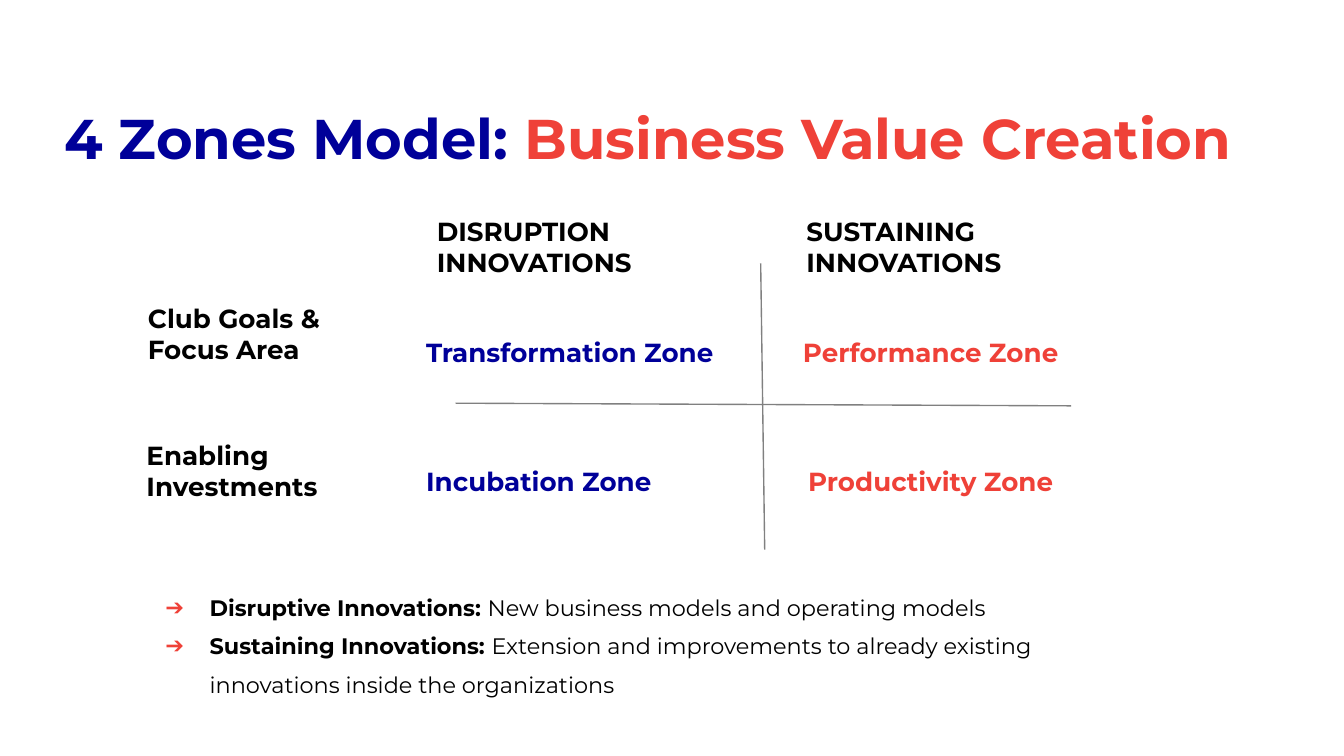
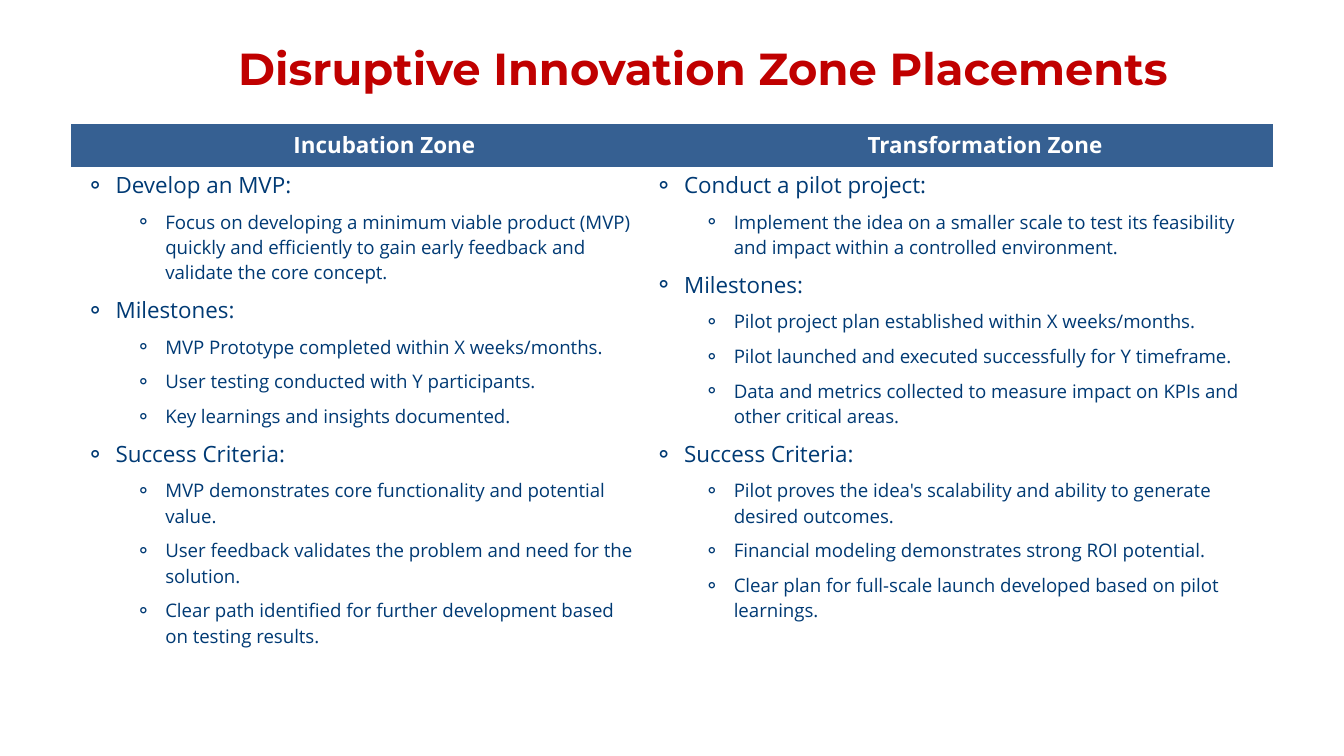
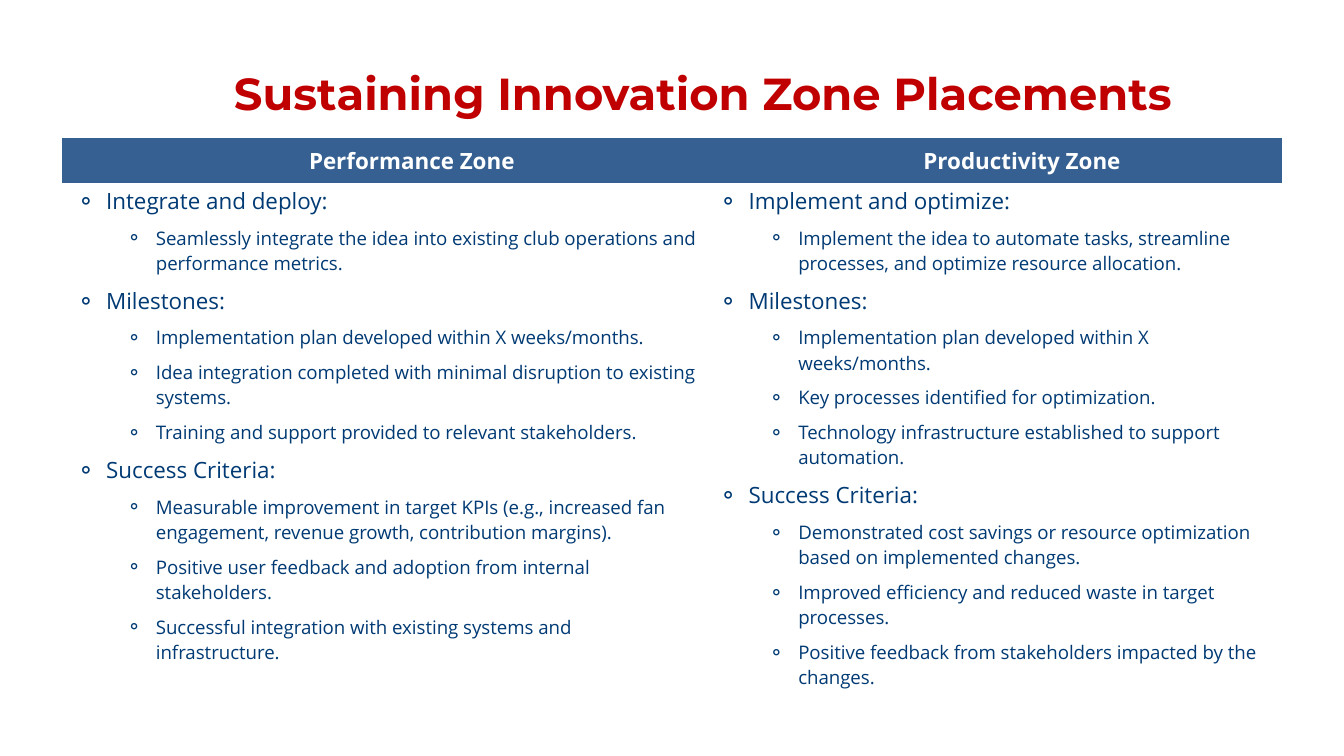
from lxml import etree
from pptx import Presentation
from pptx.dml.color import RGBColor
from pptx.enum.shapes import MSO_CONNECTOR, MSO_SHAPE
from pptx.enum.text import MSO_ANCHOR, MSO_AUTO_SIZE, PP_ALIGN
from pptx.oxml.ns import qn
from pptx.util import Inches, Pt

LEFT, CENTER = PP_ALIGN.LEFT, PP_ALIGN.CENTER
TOP, MIDDLE = MSO_ANCHOR.TOP, MSO_ANCHOR.MIDDLE

NAVY = RGBColor(0x00, 0x00, 0x99)
CORAL = RGBColor(0xEF, 0x41, 0x38)
RED = RGBColor(0xC0, 0x00, 0x00)
HEADER_BLUE = RGBColor(0x36, 0x60, 0x92)
TEXT_BLUE = RGBColor(0x00, 0x3A, 0x74)
GRAY = RGBColor(0x80, 0x80, 0x80)
BLACK = RGBColor(0, 0, 0)
WHITE = RGBColor(0xFF, 0xFF, 0xFF)

HEADING_FONT, BODY_FONT = "Montserrat", "Open Sans"
NO_GRID_STYLE = "{2D5ABB26-0587-4C30-8999-92F81FD0307C}"


def add_run(p, text, size, color, bold=True, name=HEADING_FONT):
    r = p.add_run()
    r.text = text
    for key, value in dict(size=Pt(size), bold=bold, name=name).items():
        setattr(r.font, key, value)
    r.font.color.rgb = color


def indent(p, left, hanging=0, bullet=None, color=None, font=BODY_FONT):
    """Set the indents in inches and, if given, a coloured bullet."""
    pPr = p._p.get_or_add_pPr()
    pPr.set("marL", str(Inches(left)))
    pPr.set("indent", str(-Inches(hanging)))
    if bullet:
        clr = etree.SubElement(pPr, qn("a:buClr"))
        etree.SubElement(clr, qn("a:srgbClr"), val=str(color))
        etree.SubElement(pPr, qn("a:buFont"), typeface=font)
        etree.SubElement(pPr, qn("a:buChar"), char=bullet)


prs = Presentation()
prs.slide_width = Inches(10)
prs.slide_height = prs.slide_width * 9 // 16

# Titles: box, alignment, line spacing, size, runs
titles = [
    ((0.48, 0.55, 9.04, 0.5), LEFT, 1.44, 30,
     [("4 Zones Model: ", NAVY), ("Business Value Creation", CORAL)]),
    ((0.96, 0.1, 8.54, 0.4), CENTER, 1.5, 24,
     [("Disruptive Innovation Zone Placements", RED)]),
    ((0.96, 0.29, 8.54, 0.44), CENTER, 1.5, 24,
     [("Sustaining Innovation Zone Placements", RED)]),
]
slides = []
for box, align, spacing, size, runs in titles:
    s = prs.slides.add_slide(prs.slide_layouts[5])
    slides.append(s)
    title = s.shapes.title
    title.left, title.top, title.width, title.height = map(Inches, box)
    tf = title.text_frame
    tf.margin_left = tf.margin_right = tf.margin_top = tf.margin_bottom = 0
    tf.vertical_anchor, tf.word_wrap = TOP, True
    tf.auto_size = MSO_AUTO_SIZE.NONE
    p = tf.paragraphs[0]
    p.alignment, p.line_spacing = align, spacing
    for text, color in runs:
        add_run(p, text, size, color)

# Slide 1: two-by-two zone matrix
s = slides[0]
for x1, y1, x2, y2 in [(3.39, 3, 7.97, 3.02), (5.66, 1.96, 5.69, 4.09)]:
    axis = s.shapes.add_connector(MSO_CONNECTOR.STRAIGHT, *map(Inches, (x1, y1, x2, y2)))
    axis.line.color.rgb, axis.line.width = GRAY, Pt(0.75)
    etree.SubElement(axis._element.spPr, qn("a:effectLst"))

COL_X, ROW_Y = (3.17, 5.92), (2.42, 3.38)
zones = [
    ("Transformation Zone", 0, 0, 2.35), ("Performance Zone", 1, 0, 2.01),
    ("Productivity Zone", 1, 1, 2.01), ("Incubation Zone", 0, 1, 2.01),
]
for name, col, row, width in zones:
    sp = s.shapes.add_textbox(*map(Inches, (COL_X[col], ROW_Y[row], width, 0.24)))
    tf = sp.text_frame
    tf.margin_left = tf.margin_right = tf.margin_top = tf.margin_bottom = 0
    tf.word_wrap = True
    p = tf.paragraphs[0]
    p.alignment, p.line_spacing = (LEFT, CENTER)[col], 1.36
    add_run(p, name, 14, (NAVY, CORAL)[col])

row_labels = [
    (("Club Goals &", "Focus Area"), (1.07, 2.22, 1.89, 0.59), TOP),
    (("Enabling", "Investments"), (1.06, 3.12, 1.89, 0.76), MIDDLE),
]
for lines, box, anchor in row_labels:
    sp = s.shapes.add_shape(MSO_SHAPE.RECTANGLE, *map(Inches, box))
    sp.shadow.inherit = False
    sp.fill.solid()
    sp.fill.fore_color.rgb = WHITE
    sp.line.fill.background()
    tf = sp.text_frame
    tf.margin_left = tf.margin_right = tf.margin_top = tf.margin_bottom = Inches(0.03)
    tf.vertical_anchor, tf.word_wrap = anchor, True
    for i, line in enumerate(lines):
        p = tf.add_paragraph() if i else tf.paragraphs[0]
        p.alignment = LEFT
        add_run(p, line, 14, BLACK)

for text, left, width in [("SUSTAINING INNOVATIONS", 5.93, 2.68),
                          ("DISRUPTION INNOVATIONS", 3.18, 2.38)]:
    sp = s.shapes.add_textbox(*map(Inches, (left, 1.56, width, 0.55)))
    tf = sp.text_frame
    tf.margin_left = tf.margin_right = Inches(0.07)
    tf.margin_top = tf.margin_bottom = Inches(0.04)
    tf.word_wrap = True
    add_run(tf.paragraphs[0], text, 14, BLACK)

definitions = [
    ("Disruptive Innovations: ", "New business models and operating models"),
    ("Sustaining Innovations: ", "Extension and improvements to already existing "
                                 "innovations inside the organizations"),
]
sp = s.shapes.add_textbox(*map(Inches, (1.06, 4.33, 6.91, 1.07)))
tf = sp.text_frame
tf.margin_left = tf.margin_right = tf.margin_top = tf.margin_bottom = 0
tf.word_wrap = True
for i, (term, meaning) in enumerate(definitions):
    p = tf.add_paragraph() if i else tf.paragraphs[0]
    p.line_spacing = 1.44
    indent(p, 0.5, 0.33, "➔", CORAL, HEADING_FONT)
    add_run(p, term, 12, BLACK)
    add_run(p, meaning, 12, BLACK, bold=False)

# Slides 2 and 3: zone tables; each zone lists (heading, points)
tables = [
    (slides[1], (0.53, 0.92), (4.23, 4.71), (0.32, 4), {
        "Incubation Zone": [
            ("Develop an MVP:", [
                "Focus on developing a minimum viable product (MVP) quickly and "
                "efficiently to gain early feedback and validate the core concept."]),
            ("Milestones:", [
                "MVP Prototype completed within X weeks/months.",
                "User testing conducted with Y participants.",
                "Key learnings and insights documented."]),
            ("Success Criteria:", [
                "MVP demonstrates core functionality and potential value.",
                "User feedback validates the problem and need for the solution.",
                "Clear path identified for further development based on testing results."]),
        ],
        "Transformation Zone": [
            ("Conduct a pilot project:", [
                "Implement the idea on a smaller scale to test its feasibility and "
                "impact within a controlled environment."]),
            ("Milestones:", [
                "Pilot project plan established within X weeks/months.",
                "Pilot launched and executed successfully for Y timeframe.",
                "Data and metrics collected to measure impact on KPIs and other "
                "critical areas."]),
            ("Success Criteria:", [
                "Pilot proves the idea's scalability and ability to generate desired "
                "outcomes.",
                "Financial modeling demonstrates strong ROI potential.",
                "Clear plan for full-scale launch developed based on pilot learnings."]),
        ],
    }),
    (slides[2], (0.46, 1.03), (4.78, 4.3), (0.33, 3.9), {
        "Performance Zone": [
            ("Integrate and deploy:", [
                "Seamlessly integrate the idea into existing club operations and "
                "performance metrics."]),
            ("Milestones:", [
                "Implementation plan developed within X weeks/months.",
                "Idea integration completed with minimal disruption to existing systems.",
                "Training and support provided to relevant stakeholders."]),
            ("Success Criteria:", [
                "Measurable improvement in target KPIs (e.g., increased fan engagement, "
                "revenue growth, contribution margins).",
                "Positive user feedback and adoption from internal stakeholders.",
                "Successful integration with existing systems and infrastructure."]),
        ],
        "Productivity Zone": [
            ("Implement and optimize:", [
                "Implement the idea to automate tasks, streamline processes, and "
                "optimize resource allocation."]),
            ("Milestones:", [
                "Implementation plan developed within X weeks/months.",
                "Key processes identified for optimization.",
                "Technology infrastructure established to support automation."]),
            ("Success Criteria:", [
                "Demonstrated cost savings or resource optimization based on "
                "implemented changes.",
                "Improved efficiency and reduced waste in target processes.",
                "Positive feedback from stakeholders impacted by the changes."]),
        ],
    }),
]
for s, (left, top), widths, heights, contents in tables:
    frame = s.shapes.add_table(2, 2, *map(Inches, (left, top, sum(widths), sum(heights))))
    table = frame.table
    table.horz_banding = False
    table._tbl.tblPr.find(qn("a:tableStyleId")).text = NO_GRID_STYLE
    for row, height in zip(table.rows, heights):
        row.height = Inches(height)
    for cell in table.iter_cells():
        cell.margin_left = cell.margin_right = Inches(0.05)
        cell.margin_top = cell.margin_bottom = Inches(0.02)

    for col, (zone, sections) in enumerate(contents.items()):
        table.columns[col].width = Inches(widths[col])
        header, body = table.cell(0, col), table.cell(1, col)
        header.fill.solid()
        header.fill.fore_color.rgb = HEADER_BLUE
        header.vertical_anchor = MIDDLE
        p = header.text_frame.paragraphs[0]
        p.alignment, p.level = CENTER, 2
        indent(p, 0.43)
        add_run(p, zone, 12, WHITE, name=BODY_FONT)

        body.fill.background()
        tf = body.text_frame
        items = []
        for heading, points in sections:
            items.append((heading, 1, 0.28, 12))
            items += [(point, 2, 0.65, 10) for point in points]
        for i, (text, level, margin, size) in enumerate(items):
            p = tf.add_paragraph() if i else tf.paragraphs[0]
            p.level = level
            if i:
                p.space_before = Pt(5)
            indent(p, margin, 0.22, "⚬", TEXT_BLUE)
            add_run(p, text, size, TEXT_BLUE, bold=False, name=BODY_FONT)

prs.save("out.pptx")
